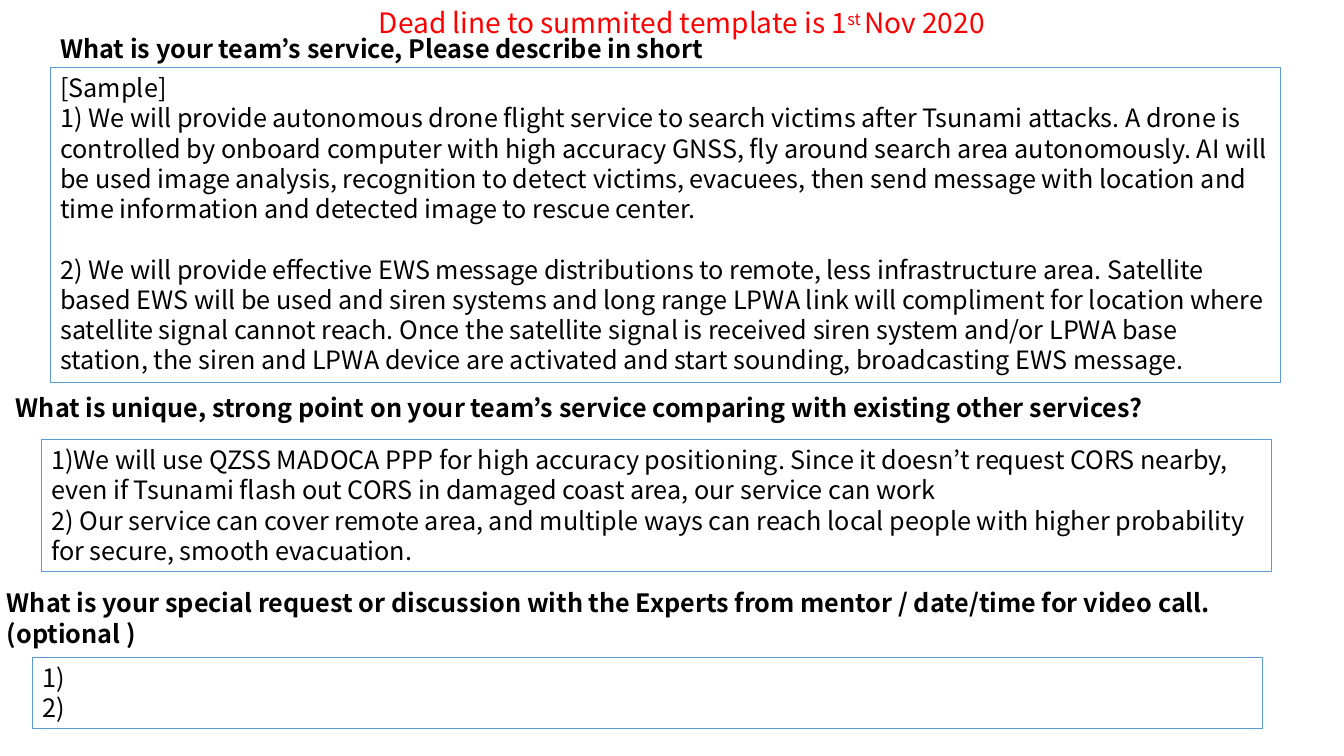
from dataclasses import dataclass

from pptx import Presentation
from pptx.dml.color import RGBColor
from pptx.enum.shapes import MSO_SHAPE
from pptx.enum.text import MSO_ANCHOR, PP_ALIGN
from pptx.util import Inches, Pt


@dataclass(frozen=True)
class Theme:
    font: str = "Noto Sans CJK JP"
    ink: RGBColor = RGBColor(0x00, 0x00, 0x00)
    alert: RGBColor = RGBColor(0xFF, 0x00, 0x00)
    border: RGBColor = RGBColor(0x5B, 0x9B, 0xD5)
    border_width: float = 0.75
    body_size: int = 18
    notice_size: int = 20
    answer_gap: float = 21.6


THEME = Theme()
ANSWER_WIDTH = 12.2

# Each section: question, its box, answer lines, answer box, lines preceded by a gap
SECTIONS = [
    (
        "What is your team’s service, Please describe in short",
        (0.5, 0.28, 7.19, 0.4),
        [
            "[Sample]",
            "1) We will provide autonomous drone flight service to search victims after "
            "Tsunami attacks. A drone is controlled by onboard computer with high accuracy "
            "GNSS, fly around search area autonomously. AI will be used image analysis, "
            "recognition to detect victims, evacuees, then send message with location and "
            "time information and detected image to rescue center.",
            "2) We will provide effective EWS message distributions to remote, less "
            "infrastructure area. Satellite based EWS will be used and siren systems and "
            "long range LPWA link will compliment for location where satellite signal "
            "cannot reach. Once the satellite signal is received siren system and/or LPWA "
            "base station, the siren and LPWA device are activated and start sounding, "
            "broadcasting EWS message.",
        ],
        (0.5, 0.67, ANSWER_WIDTH, 3.13),
        {2},
    ),
    (
        "What is unique, strong point on your team’s service comparing with existing "
        "other services?",
        (0.06, 3.84, 12.37, 0.4),
        [
            "1)We will use QZSS MADOCA PPP for high accuracy positioning. Since it doesn’t "
            "request CORS nearby, even if Tsunami flash out CORS in damaged coast area, our "
            "service can work",
            "2) Our service can cover remote area, and multiple ways can reach local people "
            "with higher probability for secure, smooth evacuation.",
        ],
        (0.41, 4.36, ANSWER_WIDTH, 1.31),
        set(),
    ),
    (
        "What is your special request or discussion with the Experts from mentor / "
        "date/time for video call. (optional )",
        (-0.03, 5.78, 12.37, 0.71),
        ["1)", "2)"],
        (0.32, 6.52, ANSWER_WIDTH, 0.71),
        set(),
    ),
]


def add_run(paragraph, text, *, size=THEME.body_size, color=THEME.ink, bold=False, raised=False):
    run = paragraph.add_run()
    run.text = text
    run.font.name = THEME.font
    run.font.size = Pt(size)
    run.font.bold = bold
    run.font.color.rgb = color
    if raised:
        run._r.get_or_add_rPr().set("baseline", "30000")


def add_label(slide, box, *, wrap=True):
    """Add an empty text box and return its first paragraph."""
    frame = slide.shapes.add_textbox(*map(Inches, box)).text_frame
    frame.word_wrap = wrap
    return frame.paragraphs[0]


def add_answer(slide, box, lines, gap_before):
    answer = slide.shapes.add_shape(MSO_SHAPE.RECTANGLE, *map(Inches, box))
    answer.shadow.inherit = False
    answer.fill.background()
    answer.line.color.rgb = THEME.border
    answer.line.width = Pt(THEME.border_width)
    frame = answer.text_frame
    frame.word_wrap = True
    frame.vertical_anchor = MSO_ANCHOR.TOP
    for index, line in enumerate(lines):
        paragraph = frame.add_paragraph() if index else frame.paragraphs[0]
        paragraph.alignment = PP_ALIGN.LEFT
        if index in gap_before:
            paragraph.space_before = Pt(THEME.answer_gap)
        add_run(paragraph, line)


def add_section(slide, question, question_box, answers, answer_box, gap_before):
    add_run(add_label(slide, question_box), question, bold=True)
    add_answer(slide, answer_box, answers, gap_before)


def add_deadline(slide, box):
    notice = add_label(slide, box, wrap=False)
    for text, raised in (
        ("Dead line to summited template is 1", False),
        ("st ", True),
        ("Nov 2020", False),
    ):
        add_run(notice, text, size=THEME.notice_size, color=THEME.alert, raised=raised)


def main():
    deck = Presentation()
    deck.slide_width, deck.slide_height = Inches(13.33), Inches(7.5)
    slide = deck.slides.add_slide(deck.slide_layouts.get_by_name("Blank"))
    for section in SECTIONS:
        add_section(slide, *section)
    add_deadline(slide, (3.66, 0.01, 6.43, 0.44))
    deck.save("out.pptx")


if __name__ == "__main__":
    main()
